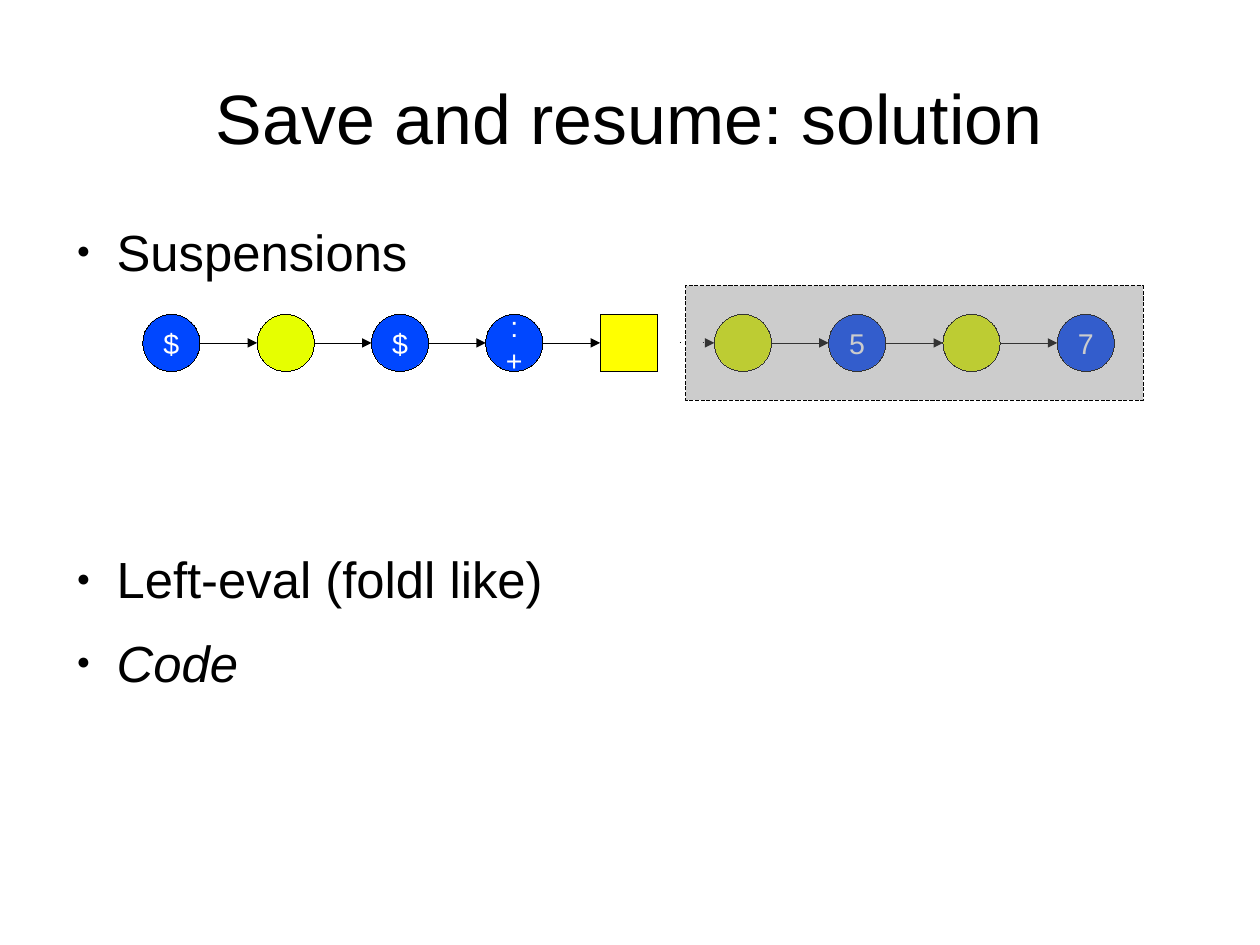
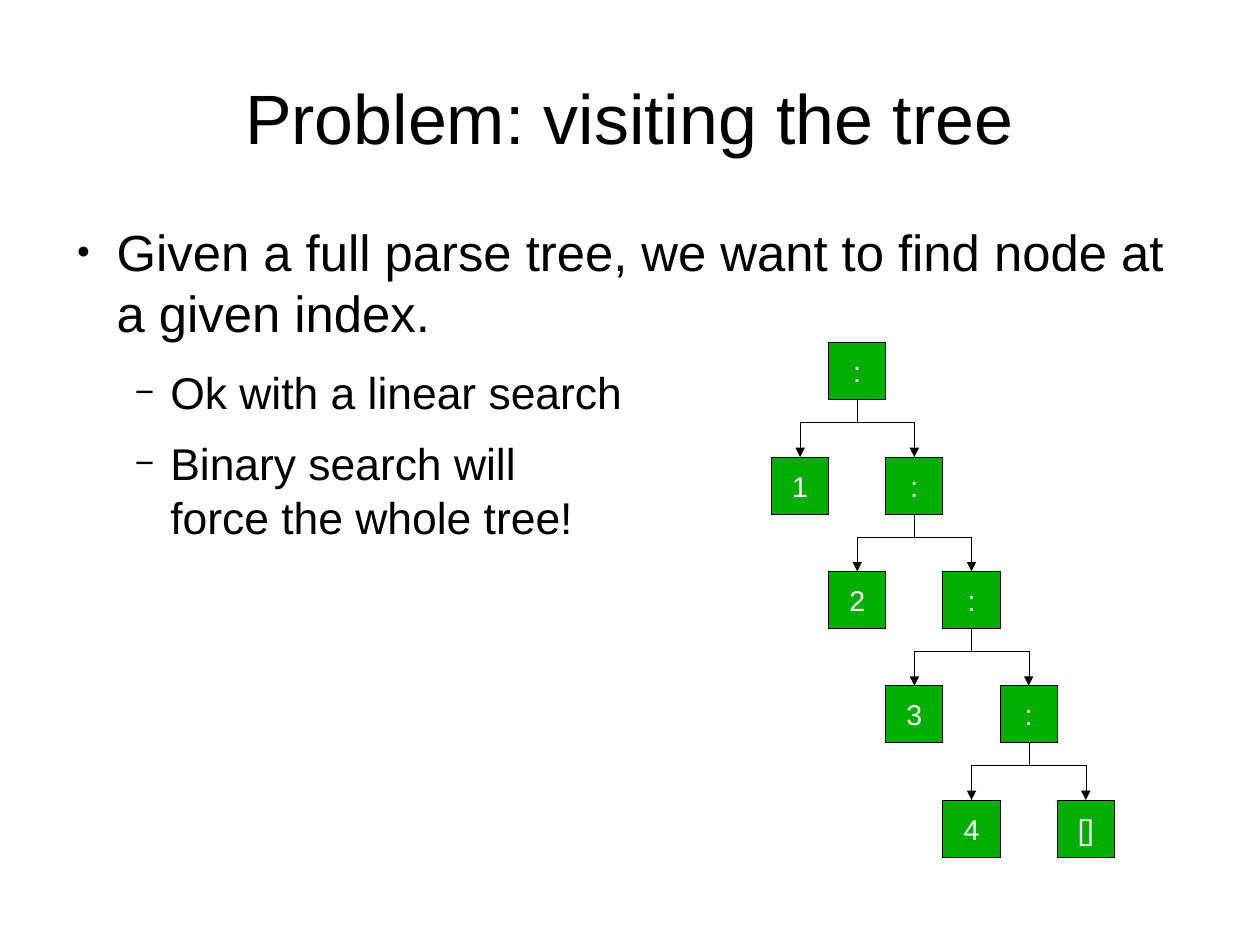
from dataclasses import dataclass

from lxml import etree
from pptx import Presentation
from pptx.dml.color import RGBColor
from pptx.enum.shapes import MSO_CONNECTOR, MSO_SHAPE
from pptx.enum.text import MSO_ANCHOR, PP_ALIGN
from pptx.oxml.ns import qn
from pptx.util import Cm, Inches, Pt

OVAL, RECT = MSO_SHAPE.OVAL, MSO_SHAPE.RECTANGLE
STRAIGHT, ELBOW = MSO_CONNECTOR.STRAIGHT, MSO_CONNECTOR.ELBOW
CENTER, LEFT = PP_ALIGN.CENTER, PP_ALIGN.LEFT
MIDDLE, TOP = MSO_ANCHOR.MIDDLE, MSO_ANCHOR.TOP


@dataclass(frozen=True)
class Level:
    """Look of one outline level."""
    size: int
    indent: float
    hang: float
    after: float
    bullet: str
    bullet_pct: int


@dataclass(frozen=True)
class Theme:
    """Colours, type, dashes (percent of line width) and grid of the slides."""
    font: str = "Arial"
    ink: str = "000000"
    paper: str = "FFFFFF"
    blue: str = "0047FF"
    lime: str = "E6FF00"
    yellow: str = "FFFF00"
    green: str = "00AE00"
    grey: str = "808080"
    title_size: int = 44
    node_size: int = 18
    leading: float = 1.2
    thin: float = 0.5
    dashed: tuple = (500, 200)
    sparse: tuple = (100, 2700)
    cell: float = 0.5
    levels: tuple = (Level(32, 0.47, 0.35, 14.2, "●", 45),
                     Level(28, 0.94, 0.31, 11.3, "−", 75))


T = Theme()
WIDTH, HEIGHT = Cm(28), Cm(21)
TITLE_BOX = (0.55, 0.38, 9.92, 1.28)
BODY_BOX = (0.55, 1.93, 9.92, 5.36)


def rgb(color):
    """Turn a hex string into a colour."""
    return RGBColor.from_string(color)


def add_xml(parent, tag, **attrs):
    """Append a DrawingML element and return it."""
    return etree.SubElement(parent, qn(tag), attrs)


def set_font(p, size, color, italic=None):
    """Set the font of a whole paragraph."""
    p.font.name, p.font.size, p.font.italic = T.font, Pt(size), italic
    p.font.color.rgb = rgb(color)


def add_text_frame(s, box, anchor):
    """Add a wrapping text box without insets and return its frame."""
    tf = s.shapes.add_textbox(*map(Inches, box)).text_frame
    tf.word_wrap, tf.vertical_anchor = True, anchor
    tf.margin_left = tf.margin_right = tf.margin_top = tf.margin_bottom = 0
    return tf


def add_title(s, box, text):
    """Place the centred slide title."""
    p = add_text_frame(s, box, MIDDLE).paragraphs[0]
    p.text, p.alignment = text, CENTER
    set_font(p, T.title_size, T.ink)


def add_outline(s, box, items):
    """Place bulleted items given as (level, text, italic, blank lines after)."""
    tf = add_text_frame(s, box, TOP)
    for i, (depth, text, italic, gap) in enumerate(items):
        level = T.levels[depth]
        leading = level.size * T.leading
        p = tf.add_paragraph() if i else tf.paragraphs[0]
        p.text, p.level, p.alignment = text, depth, LEFT
        p.line_spacing = Pt(leading)
        p.space_after = Pt(level.after + gap * leading)
        pPr = p._p.get_or_add_pPr()
        pPr.set("marL", str(Inches(level.indent)))
        pPr.set("indent", str(-Inches(level.hang)))
        add_xml(add_xml(pPr, "a:buClr"), "a:srgbClr", val=T.ink)
        add_xml(pPr, "a:buSzPct", val=str(level.bullet_pct * 1000))
        add_xml(pPr, "a:buFont", typeface=T.font)
        add_xml(pPr, "a:buChar", char=level.bullet)
        set_font(p, level.size, T.ink, italic)


def set_line(sp, dash=None):
    """Give a shape a solid hairline or a thin dashed line; return its XML."""
    sp.line.color.rgb = rgb(T.ink)
    ln = sp._element.spPr.find(qn("a:ln"))
    ln.set("w", str(Pt(T.thin) if dash else 0))
    if dash:
        d, sp_gap = (str(share * 1000) for share in dash)
        add_xml(add_xml(ln, "a:custDash"), "a:ds", d=d, sp=sp_gap)
    return ln


def add_node(s, kind, box, color, text="", dash=None):
    """Add an outlined shape with an optional centred label."""
    sp = s.shapes.add_shape(kind, *map(Inches, box))
    sp.fill.solid()
    sp.fill.fore_color.rgb = rgb(color)
    set_line(sp, dash)
    sp.shadow.inherit = False
    if text:
        tf = sp.text_frame
        tf.word_wrap, tf.vertical_anchor = True, MIDDLE
        p = tf.paragraphs[0]
        p.text, p.alignment = text, CENTER
        set_font(p, T.node_size, T.paper)
    return sp


def add_arrow(s, kind, start, end, dash=None):
    """Add an arrow between two points."""
    cxn = s.shapes.add_connector(kind, *map(Inches, start + end))
    add_xml(set_line(cxn, dash), "a:tailEnd", type="triangle")
    add_xml(cxn._element.spPr, "a:effectLst")
    return cxn


def add_branch(s, start, side):
    """Add an elbow arrow one cell down and one cell to a side (-1 or 1)."""
    x, y = start
    left = min(x, x + side * T.cell)
    cxn = add_arrow(s, ELBOW, (left, y), (left + T.cell, y + T.cell))
    spPr = cxn._element.spPr
    xfrm = spPr.find(qn("a:xfrm"))
    xfrm.set("rot", str((270 if side > 0 else 90) * 60000))
    if side > 0:
        xfrm.set("flipH", "1")
    av = spPr.find(qn("a:prstGeom")).find(qn("a:avLst"))
    add_xml(av, "a:gd", name="adj1", fmla="val 39400")


def add_chain(s, left, top, nodes, suspended):
    """Draw nodes in a row, veiling those after the suspended index."""
    c = T.cell
    for i, (kind, color, text) in enumerate(nodes):
        x = left + 2 * c * i
        add_node(s, kind, (x, top, c, c), color, text)
        if i:
            add_arrow(s, STRAIGHT, (x - c, top + c / 2), (x, top + c / 2),
                      T.sparse if i == suspended + 1 else None)
    hidden = len(nodes) - 1 - suspended
    x = left + 2 * c * (suspended + 1) - c / 2
    veil = add_node(s, RECT, (x, top - c / 2, 2 * c * hidden, 2 * c), T.grey,
                    dash=T.dashed)
    fill = veil._element.spPr.find(qn("a:solidFill"))
    add_xml(fill[0], "a:alpha", val="40000")


def add_list_tree(s, left, top, leaves, end):
    """Draw a right-leaning tree of cons cells from its root's corner."""
    c = T.cell
    for i, leaf in enumerate(leaves):
        x, y = left + c * i, top + 2 * c * i
        add_node(s, RECT, (x, y, c, c), T.green, ":")
        add_node(s, RECT, (x - c, y + 2 * c, c, c), T.green, leaf)
        for side in (-1, 1):
            add_branch(s, (x + c / 2, y + c), side)
    n = len(leaves)
    add_node(s, RECT, (left + c * n, top + 2 * c * n, c, c), T.green, end)


def add_slide(prs, title, items):
    """Add a blank slide with a title and an outline."""
    s = prs.slides.add_slide(prs.slide_layouts[6])
    add_title(s, TITLE_BOX, title)
    add_outline(s, BODY_BOX, items)
    return s


def main():
    """Build and save the two slides."""
    prs = Presentation()
    prs.slide_width, prs.slide_height = WIDTH, HEIGHT

    s = add_slide(prs, "Save and resume: solution", [
        (0, "Suspensions", None, 4),
        (0, "Left-eval (foldl like)", None, 0),
        (0, "Code", True, 0)])
    application = (OVAL, T.lime, "")
    nodes = [(OVAL, T.blue, "$"), application, (OVAL, T.blue, "$"),
             (OVAL, T.blue, ":+"), (RECT, T.yellow, ""), application,
             (OVAL, T.blue, "5"), application, (OVAL, T.blue, "7")]
    add_chain(s, 1.25, 2.75, nodes, suspended=4)

    s = add_slide(prs, "Problem: visiting the tree", [
        (0, "Given a full parse tree, we want to find node at a given index.",
         None, 0),
        (1, "Ok with a linear search", None, 0),
        (1, "Binary search will \vforce the whole tree!", None, 0)])
    add_list_tree(s, 7.25, 3, "1234", "[]")

    prs.save("out.pptx")


if __name__ == "__main__":
    main()
